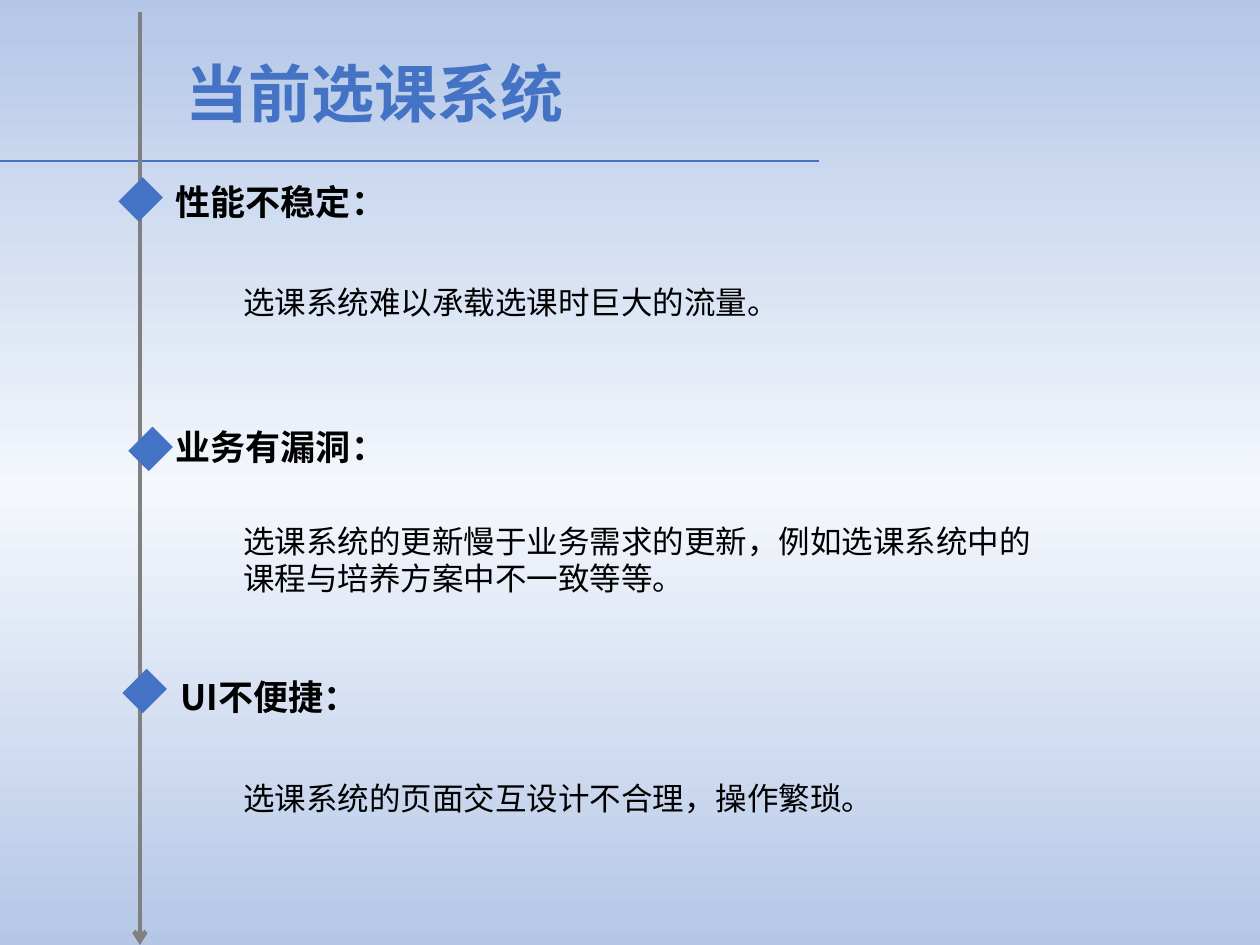
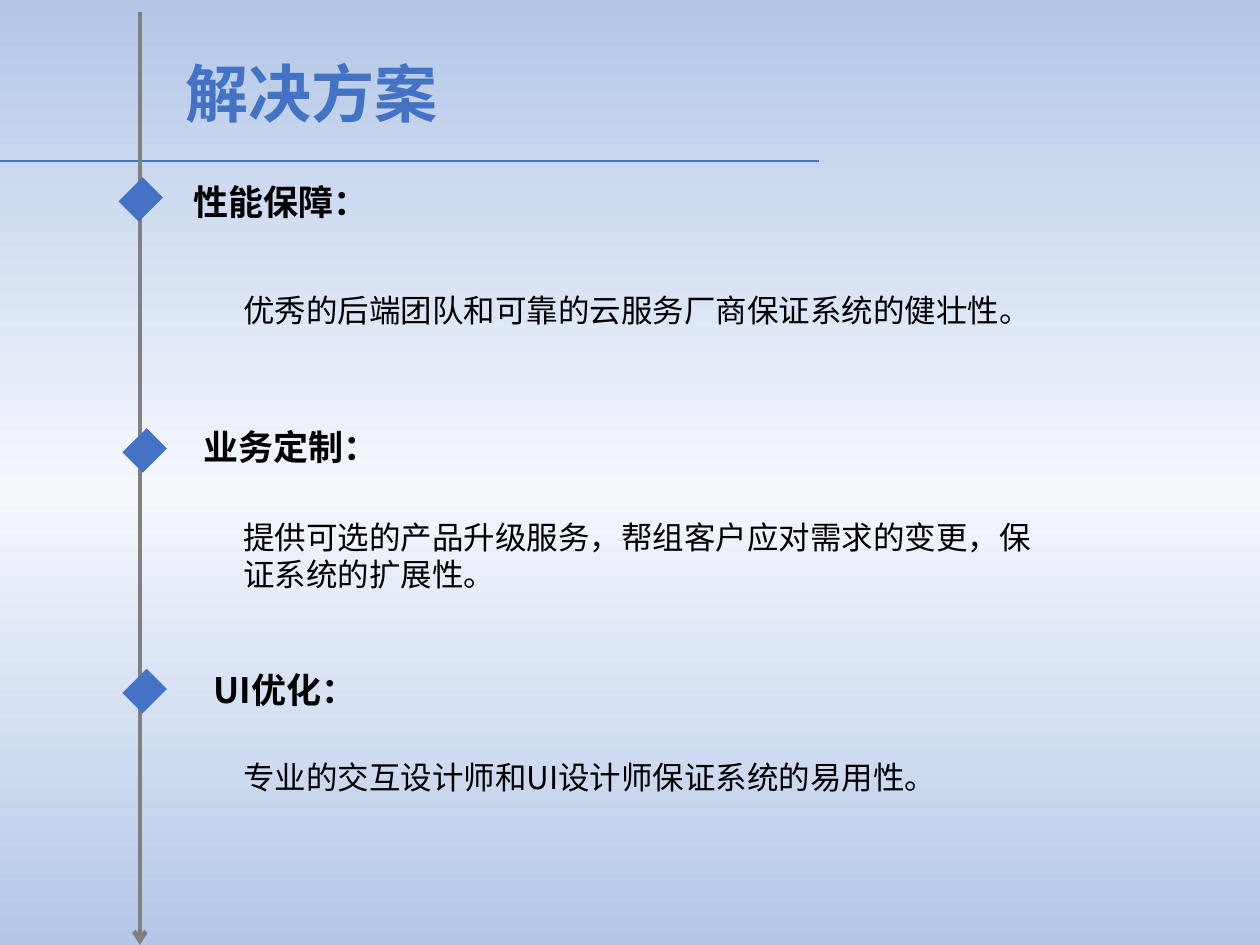
import copy
import pptx
import pptx.util
import pptx.dml.color
import pptx.enum.shapes
import pptx.enum.text
import pptx.oxml
import pptx.oxml.ns

Cm, Pt = pptx.util.Cm, pptx.util.Pt
SHAPES = pptx.enum.shapes
TEXT = pptx.enum.text
qn = pptx.oxml.ns.qn

FONT = "Noto Sans CJK SC"
BLUE, GRAY, BLACK = "4472C4", "808080", "000000"
BACKGROUND = [(0, "B4C7E7"), (0.52, "F4F7FC"), (1, "B4C7E7")]


def paint(color, value):
    color.rgb = pptx.dml.color.RGBColor.from_string(value)


def write(shape, text, size, color, bold, align):
    tf = shape.text_frame
    tf.word_wrap = True
    p = tf.paragraphs[0]
    p.alignment = align
    r = p.add_run()
    r.text = text
    r.font.size, r.font.bold, r.font.name = Pt(size), bold, FONT
    paint(r.font.color, color)
    ea = pptx.oxml.parse_xml(f'<a:ea {pptx.oxml.ns.nsdecls("a")} typeface="{FONT}"/>')
    r.font._element.find(qn("a:latin")).addnext(ea)


# Each point: diamond left, top; heading left, top, text; detail top, height, text
slides = [
    ("当前选课系统", [
        (2.49, 3.73, 2.82, 3.51, "性能不稳定：",
         5.59, 1.02, "选课系统难以承载选课时巨大的流量。"),
        (2.69, 8.76, 2.82, 8.46, "业务有漏洞：",
         10.39, 1.8, "选课系统的更新慢于业务需求的更新，例如选课系统中的课程与培养方案中不一致等等。"),
        (2.57, 13.64, 2.59, 13.49, "UI不便捷：",
         15.57, 1.02, "选课系统的页面交互设计不合理，操作繁琐。"),
    ]),
    ("解决方案", [
        (2.49, 3.73, 2.82, 3.51, "性能保障：",
         5.74, 1.02, "优秀的后端团队和可靠的云服务厂商保证系统的健壮性。"),
        (2.57, 8.79, 3.02, 8.46, "业务定制：",
         10.31, 1.8, "提供可选的产品升级服务，帮组客户应对需求的变更，保证系统的扩展性。"),
        (2.57, 13.64, 2.9, 13.36, "UI优化：",
         15.16, 1.02, "专业的交互设计师和UI设计师保证系统的易用性。"),
    ]),
]

prs = pptx.Presentation()
prs.slide_width, prs.slide_height = Cm(25.4), Cm(19.05)

for title, points in slides:
    s = prs.slides.add_slide(prs.slide_layouts[5])

    # Background gradient with three stops, from top to bottom
    fill = s.background.fill
    fill.gradient()
    fill.gradient_angle = 270
    stops = s.element.find(".//" + qn("a:gsLst"))
    stops.append(copy.deepcopy(stops[-1]))
    for stop, (position, color) in zip(fill.gradient_stops, BACKGROUND):
        stop.position = position
        paint(stop.color, color)

    # Title
    sp = s.shapes.title
    sp.left, sp.top, sp.width, sp.height = Cm(3.48), Cm(0.97), Cm(20.4), Cm(1.8)
    sp.text_frame.vertical_anchor = TEXT.MSO_ANCHOR.MIDDLE
    sp.text_frame.auto_size = TEXT.MSO_AUTO_SIZE.NONE
    write(sp, title, 36, BLUE, True, TEXT.PP_ALIGN.LEFT)

    # Title rule and timeline arrow
    for x1, y1, x2, y2, color, width, arrow in [
        (0, 3.25, 16.51, 3.25, BLUE, 1.25, False),
        (2.82, 0.25, 2.82, 19.05, GRAY, 2.5, True),
    ]:
        line = s.shapes.add_connector(SHAPES.MSO_CONNECTOR.STRAIGHT,
                                      Cm(x1), Cm(y1), Cm(x2), Cm(y2))
        paint(line.line.color, color)
        line.line.width = Pt(width)
        spPr = line._element.spPr
        spPr.append(spPr.makeelement(qn("a:effectLst"), {}))
        if arrow:
            ln = spPr.find(qn("a:ln"))
            ln.append(ln.makeelement(qn("a:tailEnd"), {"type": "arrow"}))

    # Diamonds, headings and details
    for dx, dy, hx, hy, heading, ty, th, detail in points:
        diamond = s.shapes.add_shape(SHAPES.MSO_SHAPE.RECTANGLE,
                                     Cm(dx), Cm(dy), Cm(0.69), Cm(0.58))
        diamond.rotation = 135
        diamond.shadow.inherit = False
        diamond.fill.solid()
        paint(diamond.fill.fore_color, BLUE)
        diamond.line.fill.background()

        for x, y, w, h, text, size, bold, align in [
            (hx, hy, 5.69, 1.12, heading, 20, True, TEXT.PP_ALIGN.CENTER),
            (4.65, ty, 16.87, th, detail, 18, False, TEXT.PP_ALIGN.LEFT),
        ]:
            box = s.shapes.add_textbox(Cm(x), Cm(y), Cm(w), Cm(h))
            box.text_frame.auto_size = TEXT.MSO_AUTO_SIZE.SHAPE_TO_FIT_TEXT
            write(box, text, size, BLACK, bold, align)

prs.save("out.pptx")
